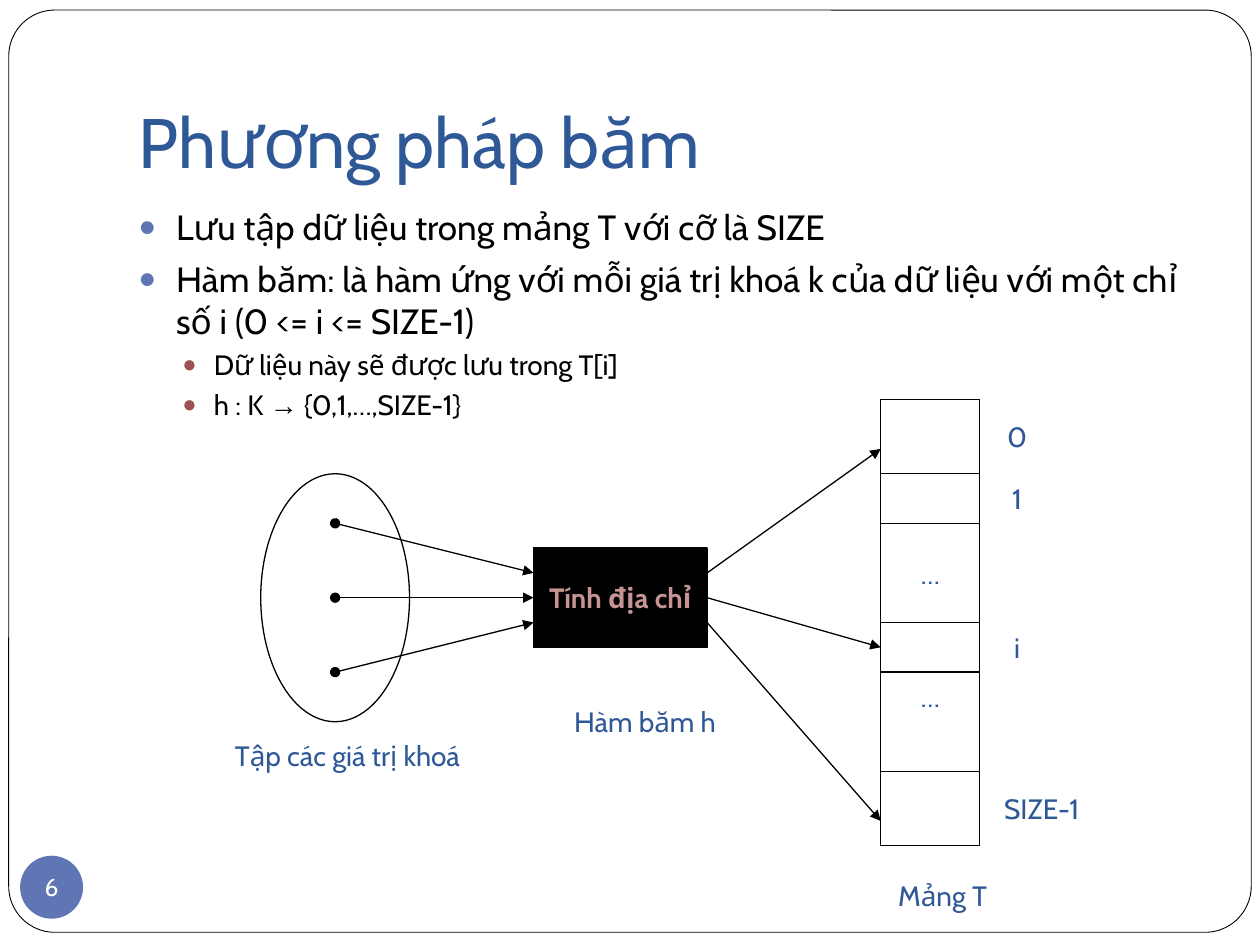
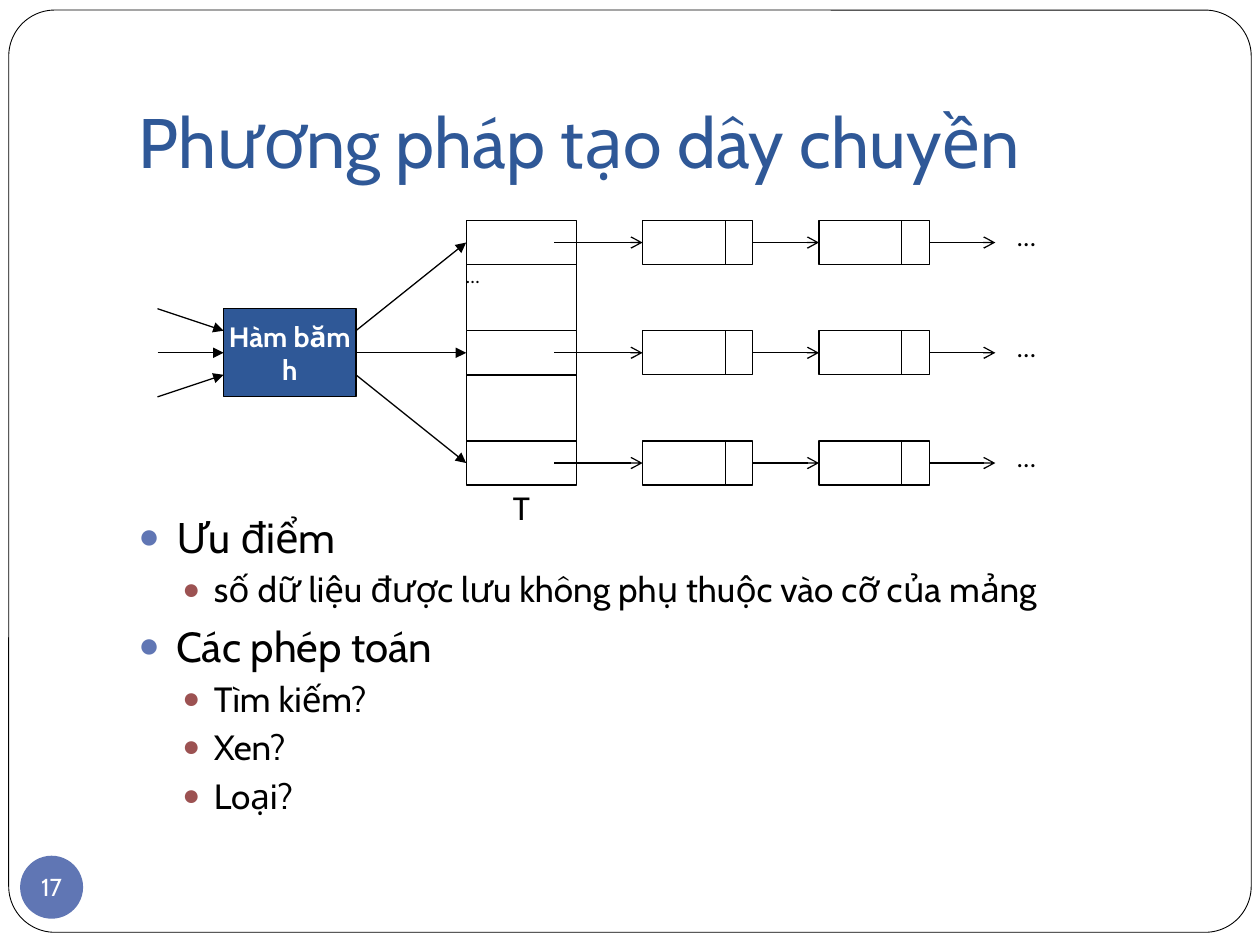
"""Build two slides on hashing: the hash function and separate chaining."""
from dataclasses import dataclass
from lxml.etree import SubElement
from pptx import Presentation
from pptx.dml.color import RGBColor
from pptx.enum.shapes import MSO_CONNECTOR, MSO_SHAPE
from pptx.enum.text import MSO_ANCHOR, PP_ALIGN
from pptx.oxml.ns import qn
from pptx.util import Pt


@dataclass(frozen=True)
class Theme:
    black: str = "000000"
    white: str = "FFFFFF"
    navy: str = "2F5897"
    blue: str = "6076B4"
    red: str = "9C5252"
    pink: str = "C79494"
    font: str = "Cabin"
    plain: str = "Calibri"
    symbol: str = "Arial"
    title: int = 40
    large: int = 24
    body: int = 20
    label: int = 16
    page: int = 14
    dots: int = 15
    small: int = 11
    line: float = 0.75


theme = Theme()
rgb = RGBColor.from_string


def box(slide, area, kind=None, text="", fill=None, line=None, color=theme.navy,
        size=theme.label, font=theme.font, bold=False, align=PP_ALIGN.CENTER,
        anchor=MSO_ANCHOR.MIDDLE, inset=(7.2, 3.6), after=10):
    """Add a text box, or a preset shape when a kind is given."""
    place = [Pt(round(n, 2)) for n in area]
    if kind is None:
        shape = slide.shapes.add_textbox(*place)
    else:
        shape = slide.shapes.add_shape(kind, *place)
        shape.shadow.inherit = False
    if fill:
        shape.fill.solid()
        shape.fill.fore_color.rgb = rgb(fill)
    else:
        shape.fill.background()
    if line:
        shape.line.color.rgb = rgb(theme.black)
        shape.line.width = Pt(line)
    else:
        shape.line.fill.background()
    if text:
        frame = shape.text_frame
        frame.word_wrap = True
        frame.vertical_anchor = anchor
        frame.margin_left = frame.margin_right = Pt(inset[0])
        frame.margin_top = frame.margin_bottom = Pt(inset[1])
        para = frame.paragraphs[0]
        para.text = text
        para.alignment = align
        para.space_after = Pt(after)
        para.font.name, para.font.size, para.font.bold = font, Pt(size), bold
        para.font.color.rgb = rgb(color)
    return shape


def link(slide, ends, head=None, tail=None):
    """Add a thin black line with optional end marks."""
    wire = slide.shapes.add_connector(
        MSO_CONNECTOR.STRAIGHT, *[Pt(round(n, 2)) for n in ends])
    wire.line.color.rgb = rgb(theme.black)
    wire.line.width = Pt(theme.line)
    for tag, mark in (("a:headEnd", head), ("a:tailEnd", tail)):
        if mark:
            SubElement(wire.line._ln, qn(tag), type=mark)
    SubElement(wire._element.spPr, qn("a:effectLst"))


deck = Presentation()
deck.slide_width, deck.slide_height = Pt(720), Pt(540)

pages = [
    ("Phương pháp băm", "6", 113.76, (theme.body, theme.label), [
        (0, "Lưu tập dữ liệu trong mảng T với cỡ là SIZE"),
        (0, "Hàm băm: là hàm ứng với mỗi giá trị khoá k của dữ liệu với một "
            "chỉ số i (0 <= i <= SIZE-1)"),
        (1, "Dữ liệu này sẽ được lưu trong T[i]"),
        (1, "h : K → {0,1,…,SIZE-1}")]),
    ("Phương pháp tạo dây chuyền", "17", 288.5, (theme.large, theme.body), [
        (0, "Ưu điểm"),
        (1, "số dữ liệu được lưu không phụ thuộc vào cỡ của mảng"),
        (0, "Các phép toán"),
        (1, "Tìm kiếm?"),
        (1, "Xen?"),
        (1, "Loại?")]),
]
levels = [(theme.blue, 21.6, -21.6, 5.8), (theme.red, 43.2, -18, 3.7)]

for name, number, top, sizes, points in pages:
    slide = deck.slides.add_slide(deck.slide_layouts[5])
    edge = box(slide, (5, 5.76, 710, 527), MSO_SHAPE.ROUNDED_RECTANGLE, line=0.5)
    edge.adjustments[0] = 0.05

    title = slide.shapes.title
    title.left, title.top, title.width, title.height = Pt(72), Pt(21.6), Pt(612), Pt(90)
    title.text = name
    title.text_frame.vertical_anchor = MSO_ANCHOR.BOTTOM
    title.text_frame.margin_bottom = Pt(7.2)
    para = title.text_frame.paragraphs[0]
    para.alignment = PP_ALIGN.LEFT
    para.font.name, para.font.size = theme.font, Pt(theme.title)
    para.font.color.rgb = rgb(theme.navy)

    box(slide, (11.5, 489, 36, 36), MSO_SHAPE.OVAL, number, theme.blue,
        color=theme.white, size=theme.page, inset=(0, 0), after=0)

    frame = slide.shapes.add_textbox(Pt(72), Pt(top), Pt(612), Pt(473.76 - top)).text_frame
    frame.word_wrap = True
    for index, (level, text) in enumerate(points):
        tint, left, indent, before = levels[level]
        para = frame.add_paragraph() if index else frame.paragraphs[0]
        para.level = level
        props = para._p.get_or_add_pPr()
        props.set("marL", str(Pt(left)))
        props.set("indent", str(Pt(indent)))
        SubElement(SubElement(props, qn("a:buClr")), qn("a:srgbClr"), val=tint)
        SubElement(props, qn("a:buSzPct"), val="85000")
        SubElement(props, qn("a:buFont"), typeface=theme.symbol)
        SubElement(props, qn("a:buChar"), char="●")
        para.space_before = Pt(before if index else 0)
        para.font.name, para.font.size = theme.font, Pt(sizes[level])
        para.font.color.rgb = rgb(theme.black)
        for part in filter(None, text.partition("→")):
            run = para.add_run()
            run.text = part
            if part == "→":
                run.font.name = theme.symbol

hashing, chains = deck.slides
rect = MSO_SHAPE.RECTANGLE

unit, left, top = 14.17, 149, 228.2
row = 0
for high, mark, label, wide in [(3, "", "0", 3), (2, "", "1", 3), (4, "…", "", 0),
                                (2, "", "i", 3), (4, "…", "", 0), (3, "", "SIZE-1", 5)]:
    y = top + row * unit
    cell = box(hashing, (left + 25 * unit, y, 4 * unit, high * unit), rect, mark,
               theme.white, theme.line)
    if label:
        box(hashing, (left + 29 * unit, y, wide * unit, high * unit), text=label)
    elif row > 8:
        cell.text_frame.margin_bottom = Pt(33)
    row += high

box(hashing, (left + 11 * unit, top + 6 * unit, 7 * unit, 4 * unit), rect, "Tính địa chỉ",
    theme.black, theme.line, theme.pink, bold=True)
box(hashing, (left, top + 3 * unit, 6 * unit, 10 * unit), MSO_SHAPE.OVAL,
    fill=theme.white, line=theme.line)
for key, port, slot in [(5, 7, 2), (8, 8, 10), (11, 9, 17)]:
    link(hashing, (left + 3 * unit, top + key * unit, left + 11 * unit, top + port * unit),
         "oval", "triangle")
    link(hashing, (left + 18 * unit, top + port * unit, left + 25 * unit, top + slot * unit),
         tail="triangle")
for text, x, y, wide in [("Hàm băm h", 10, 11, 11), ("Tập các giá trị khoá", -5, 12.35, 17),
                         ("Mảng T", 22, 18, 11)]:
    box(hashing, (left + x * unit, top + y * unit, wide * unit, 4 * unit), text=text)

unit, left, top = 12.6, 90, 126
note = dict(color=theme.black, font=theme.plain, anchor=MSO_ANCHOR.TOP, inset=(0, 0))
box(chains, (left + 14 * unit, top + 12 * unit, 5 * unit, 2 * unit), text="T",
    size=theme.body, **note)
for row in (0, 5, 10):
    y = top + row * unit
    for x in (14, 22, 30):
        box(chains, (left + x * unit, y, 5 * unit, 2 * unit), rect,
            fill=theme.white, line=theme.line)
    for x in (25.75, 33.75):
        link(chains, (left + x * unit, y, left + x * unit, y + 2 * unit))
    for start, end in [(18, 22), (27, 30), (35, 38)]:
        link(chains, (left + start * unit, y + unit, left + end * unit, y + unit), tail="arrow")
    box(chains, (left + 39 * unit, y, 5 * unit, 2 * unit), text="…", size=theme.dots,
        align=PP_ALIGN.LEFT, **note)
for row, mark in [(2, "…"), (7, "")]:
    box(chains, (left + 14 * unit, top + row * unit, 5 * unit, 3 * unit), rect, mark,
        theme.white, theme.line, size=theme.small, align=PP_ALIGN.LEFT, **note)

box(chains, (left + 3 * unit, top + 4 * unit, 6 * unit, 4 * unit), rect, "Hàm băm h",
    theme.navy, theme.line, theme.white, bold=True, inset=(0, 0))
for key, port, slot in [(4, 5, 1), (6, 6, 6), (8, 7, 11)]:
    link(chains, (left, top + key * unit, left + 3 * unit, top + port * unit), tail="triangle")
    link(chains, (left + 9 * unit, top + port * unit, left + 14 * unit, top + slot * unit),
         tail="triangle")

deck.save("out.pptx")
